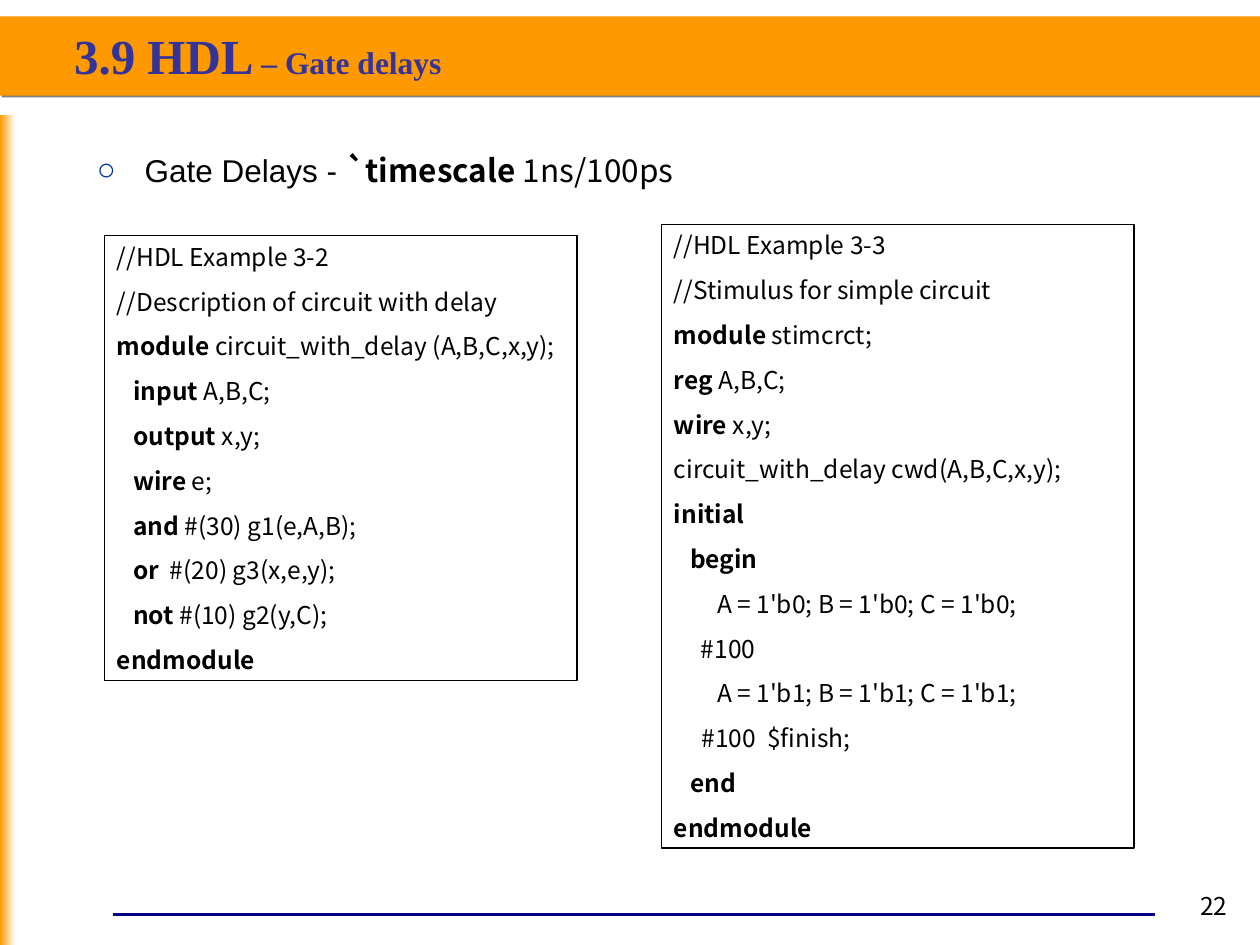
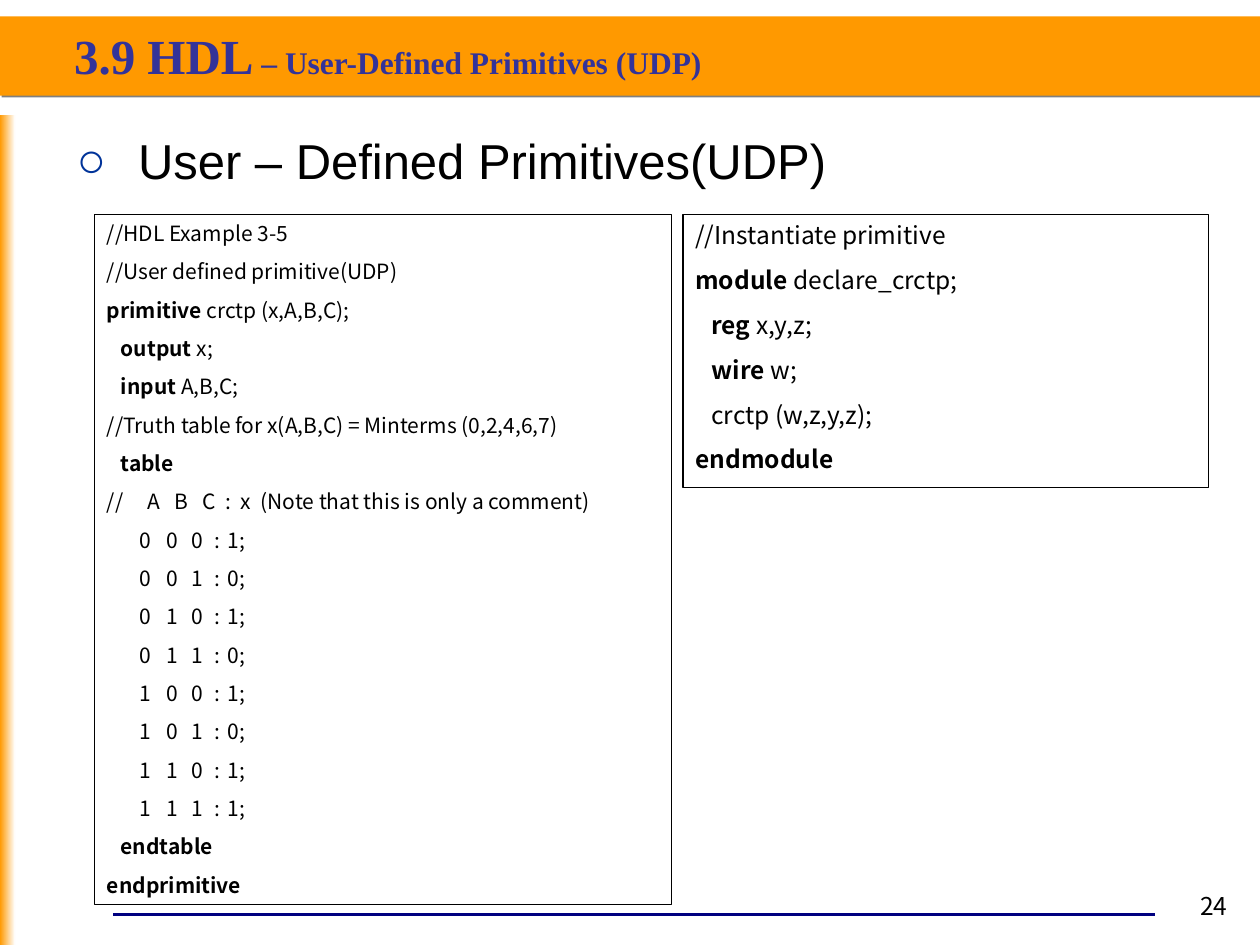
import dataclasses

import lxml.etree
import pptx
import pptx.dml.color
import pptx.enum.shapes
import pptx.enum.text
import pptx.oxml.ns
import pptx.slide
import pptx.text.text
import pptx.util

Inches = pptx.util.Inches
Pt = pptx.util.Pt
RGBColor = pptx.dml.color.RGBColor
Anchor = pptx.enum.text.MSO_ANCHOR
RECTANGLE = pptx.enum.shapes.MSO_SHAPE.RECTANGLE

ORANGE = RGBColor(0xFF, 0x99, 0x00)
WHITE = RGBColor(0xFF, 0xFF, 0xFF)
BLACK = RGBColor(0x00, 0x00, 0x00)
NAVY = RGBColor(0x00, 0x00, 0x80)
INDIGO = RGBColor(0x33, 0x33, 0x99)
BULLET_BLUE = RGBColor(0x00, 0x33, 0x99)
SHADOW_GRAY = RGBColor(0x80, 0x80, 0x80)

CODE_FONT = "Noto Sans CJK KR"
HEADING_FONT = "Arial"
TITLE_FONT = "Times New Roman"
INDENT_STEP = 0.22  # width of one indent step, in ems


@dataclasses.dataclass(frozen=True)
class Span:
    text: str
    size: float
    font: str
    color: RGBColor = BLACK
    bold: bool = False


@dataclasses.dataclass(frozen=True)
class CodeLine:
    """One line of code; **keywords** are bold, stops are tab positions in inches."""

    text: str
    indent: int = 0
    stops: tuple[float, ...] = ()


@dataclasses.dataclass(frozen=True)
class Listing:
    left: float
    top: float
    width: float
    height: float
    size: float
    space_before: float
    lines: list[CodeLine]


@dataclasses.dataclass(frozen=True)
class Heading:
    left: float
    top: float
    width: float
    height: float
    space_before: float
    spans: list[Span]


@dataclasses.dataclass(frozen=True)
class Page:
    number: int
    subtitle: str
    heading: Heading
    listings: list[Listing]


def add_xml(parent: lxml.etree._Element, tag: str, **attributes: str) -> lxml.etree._Element:
    child = lxml.etree.SubElement(parent, pptx.oxml.ns.qn(tag))
    for name, value in attributes.items():
        child.set(name, value)
    return child


def write_spans(paragraph: pptx.text.text._Paragraph, spans: list[Span]) -> None:
    for span in spans:
        run = paragraph.add_run()
        run.text = span.text
        run.font.size = Pt(span.size)
        run.font.name = span.font
        run.font.bold = span.bold
        run.font.color.rgb = span.color
        add_xml(run.font._element, "a:ea", typeface=span.font)


def add_text(slide: pptx.slide.Slide, left: float, top: float, width: float, height: float,
             spans: list[Span], anchor: Anchor = Anchor.TOP) -> pptx.text.text._Paragraph:
    box = slide.shapes.add_textbox(Inches(left), Inches(top), Inches(width), Inches(height))
    box.text_frame.word_wrap = True
    box.text_frame.vertical_anchor = anchor
    paragraph = box.text_frame.paragraphs[0]
    write_spans(paragraph, spans)
    return paragraph


def add_frame(slide: pptx.slide.Slide, number: int) -> None:
    """Draw the footer rule, title band, side band and page number."""
    rule = slide.shapes.add_connector(pptx.enum.shapes.MSO_CONNECTOR.STRAIGHT,
                                      Inches(0.9), Inches(7.26), Inches(9.17), Inches(7.26))
    rule.line.color.rgb = NAVY
    rule.line.width = Pt(1.5)
    add_xml(rule._element.spPr, "a:effectLst")

    title_band = slide.shapes.add_shape(RECTANGLE, 0, Inches(0.13), Inches(10), Inches(0.63))
    title_band.fill.solid()
    title_band.fill.fore_color.rgb = ORANGE
    title_band.line.fill.background()
    effects = add_xml(title_band._element.spPr, "a:effectLst")
    shadow = add_xml(effects, "a:outerShdw", dist=str(Pt(1.4)), dir=str(45 * 60000),
                     algn="ctr", rotWithShape="0")
    add_xml(shadow, "a:srgbClr", val=str(SHADOW_GRAY))

    side_band = slide.shapes.add_shape(RECTANGLE, 0, Inches(0.91), Inches(0.12), Inches(6.59))
    side_band.shadow.inherit = False
    side_band.line.fill.background()
    side_band.fill.gradient()
    side_band.fill.gradient_angle = 0
    for stop, color in zip(side_band.fill.gradient_stops, (ORANGE, WHITE)):
        stop.color.rgb = color

    page_number = add_text(slide, 9.28, 7.02, 0.56, 0.37, [Span(str(number), 14, CODE_FONT)])
    page_number.alignment = pptx.enum.text.PP_ALIGN.RIGHT


def add_title(slide: pptx.slide.Slide, subtitle: str) -> None:
    add_text(slide, 0.49, 0.21, 9, 0.46,
             [Span("3.9 HDL", 28, TITLE_FONT, INDIGO, True),
              Span(f" – {subtitle}", 18, TITLE_FONT, INDIGO, True)], Anchor.MIDDLE)


def add_heading(slide: pptx.slide.Slide, heading: Heading) -> None:
    paragraph = add_text(slide, heading.left, heading.top, heading.width, heading.height,
                         heading.spans)
    paragraph.space_before = Pt(heading.space_before)
    properties = paragraph._p.get_or_add_pPr()
    properties.set("marL", str(Inches(0.38)))
    properties.set("indent", str(-Inches(0.38)))
    add_xml(add_xml(properties, "a:buClr"), "a:srgbClr", val=str(BULLET_BLUE))
    add_xml(properties, "a:buFont", typeface=HEADING_FONT)
    add_xml(properties, "a:buChar", char="○")


def add_listing(slide: pptx.slide.Slide, listing: Listing) -> None:
    box = slide.shapes.add_shape(RECTANGLE, Inches(listing.left), Inches(listing.top),
                                 Inches(listing.width), Inches(listing.height))
    box.shadow.inherit = False
    box.fill.background()
    box.line.color.rgb = BLACK
    box.line.width = Pt(0.75)
    frame = box.text_frame
    frame.word_wrap = True
    frame.vertical_anchor = Anchor.TOP
    for index, line in enumerate(listing.lines):
        paragraph = frame.add_paragraph() if index else frame.paragraphs[0]
        paragraph.alignment = pptx.enum.text.PP_ALIGN.LEFT
        paragraph.space_before = Pt(listing.space_before)
        properties = paragraph._p.get_or_add_pPr()
        properties.set("marL", str(Pt(line.indent * INDENT_STEP * listing.size)))
        if line.stops:
            tabs = add_xml(properties, "a:tabLst")
            for stop in line.stops:
                add_xml(tabs, "a:tab", pos=str(Inches(stop)), algn="l")
        parts = line.text.split("**")
        write_spans(paragraph, [Span(part, listing.size, CODE_FONT, bold=position % 2 == 1)
                                for position, part in enumerate(parts) if part])


def truth_table_lines(minterms: set[int]) -> list[CodeLine]:
    """One line per input combination of A, B and C."""
    return [CodeLine("\t" + "\t".join(f"{row:03b}") + f"\t:\t{int(row in minterms)};",
                     stops=(0.26, 0.47, 0.67, 0.85, 0.96))
            for row in range(8)]


DELAY_CIRCUIT = [
    CodeLine("//HDL Example 3-2"),
    CodeLine("//Description of circuit with delay"),
    CodeLine("**module** circuit_with_delay (A,B,C,x,y);"),
    CodeLine("**input** A,B,C;", 3),
    CodeLine("**output** x,y;", 3),
    CodeLine("**wire** e;", 3),
    CodeLine("**and** #(30) g1(e,A,B);", 3),
    CodeLine("\t**or**\t#(20) g3(x,e,y);", stops=(0.13, 0.42)),
    CodeLine("**not** #(10) g2(y,C);", 3),
    CodeLine("**endmodule**"),
]
STIMULUS = [
    CodeLine("//HDL Example 3-3"),
    CodeLine("//Stimulus for simple circuit"),
    CodeLine("**module** stimcrct;"),
    CodeLine("**reg** A,B,C;"),
    CodeLine("**wire** x,y;"),
    CodeLine("circuit_with_delay cwd(A,B,C,x,y);"),
    CodeLine("**initial**"),
    CodeLine("**begin**", 3),
    CodeLine("A = 1'b0; B = 1'b0; C = 1'b0;", 8),
    CodeLine("#100", 5),
    CodeLine("A = 1'b1; B = 1'b1; C = 1'b1;", 8),
    CodeLine("\t#100\t$finish;", stops=(0.22, 0.74)),
    CodeLine("**end**", 3),
    CodeLine("**endmodule**"),
]
PRIMITIVE = [
    CodeLine("//HDL Example 3-5"),
    CodeLine("//User defined primitive(UDP)"),
    CodeLine("**primitive** crctp (x,A,B,C);"),
    CodeLine("**output** x;", 3),
    CodeLine("**input** A,B,C;", 3),
    CodeLine("//Truth table for x(A,B,C) = Minterms (0,2,4,6,7)"),
    CodeLine("**table**", 3),
    CodeLine("//\tA\tB\tC\t:\tx\t(Note that this is only a comment)",
             stops=(0.32, 0.54, 0.76, 0.94, 1.06, 1.22)),
    *truth_table_lines({0, 2, 4, 6, 7}),
    CodeLine("**endtable**", 3),
    CodeLine("**endprimitive**"),
]
INSTANCE = [
    CodeLine("//Instantiate primitive"),
    CodeLine("**module** declare_crctp;"),
    CodeLine("**reg** x,y,z;", 3),
    CodeLine("**wire** w;", 3),
    CodeLine("crctp (w,z,y,z);", 3),
    CodeLine("**endmodule**"),
]

PAGES = [
    Page(22, "Gate delays",
         Heading(0.67, 1.15, 8.75, 5.67, 4.5,
                 [Span("Gate Delays - ", 18, HEADING_FONT),
                  Span("`timescale", 18, CODE_FONT, bold=True),
                  Span(" 1ns/100ps", 18, CODE_FONT)]),
         [Listing(0.83, 1.87, 3.75, 3.53, 14, 8.8, DELAY_CIRCUIT),
          Listing(5.25, 1.78, 3.75, 4.95, 14, 8.8, STIMULUS)]),
    Page(24, "User-Defined Primitives (UDP)",
         Heading(0.51, 0.99, 9, 5.99, 7,
                 [Span(" User – Defined Primitives(UDP)", 28, HEADING_FONT)]),
         [Listing(0.75, 1.7, 4.58, 5.48, 12, 7.5, PRIMITIVE),
          Listing(5.42, 1.7, 4.17, 2.17, 14, 8.8, INSTANCE)]),
]


def main() -> None:
    deck = pptx.Presentation()
    deck.slide_width = Inches(10)
    deck.slide_height = Inches(7.5)
    for page in PAGES:
        slide = deck.slides.add_slide(deck.slide_layouts[6])
        add_frame(slide, page.number)
        add_heading(slide, page.heading)
        for listing in page.listings:
            add_listing(slide, listing)
        add_title(slide, page.subtitle)
    deck.save("out.pptx")


if __name__ == "__main__":
    main()
